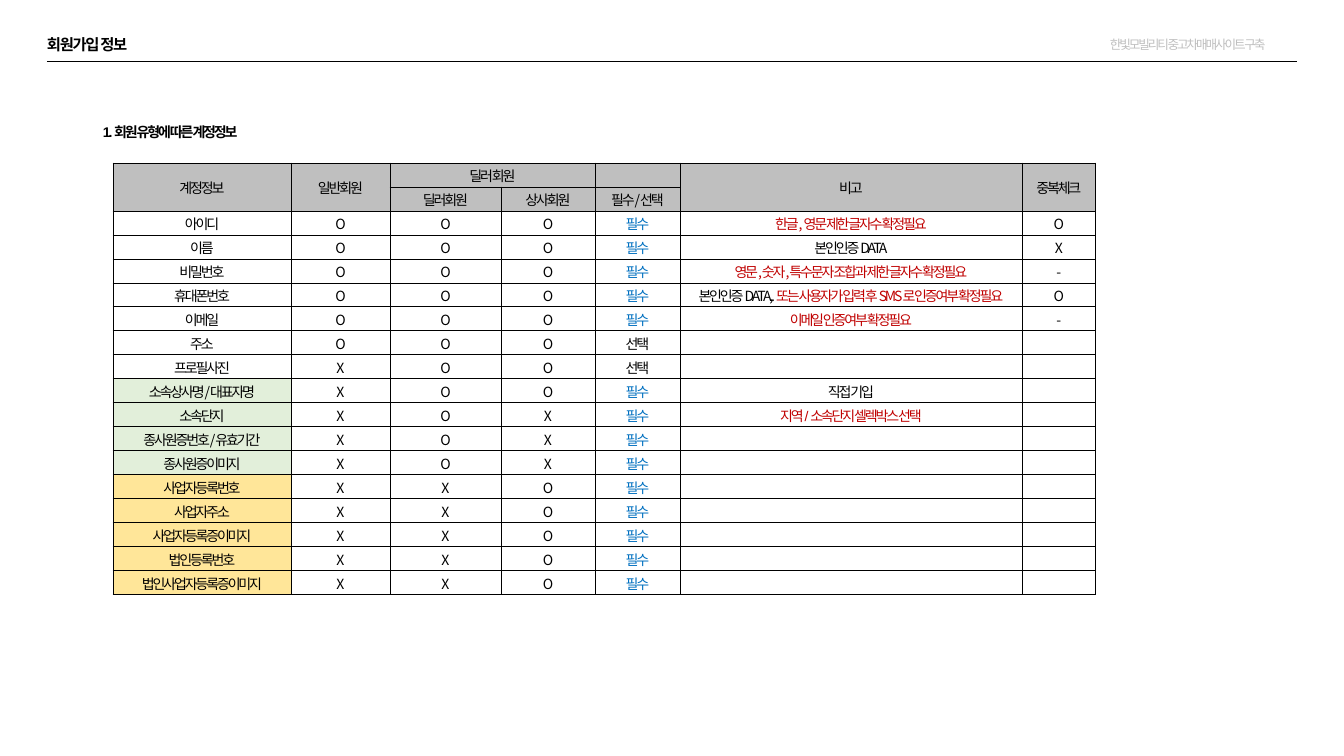
from lxml import etree
from pptx import Presentation
from pptx import util as u
from pptx.dml.color import RGBColor
from pptx.enum import shapes, text
from pptx.oxml.ns import qn

BLACK = RGBColor(0x00, 0x00, 0x00)
WHITE = RGBColor(0xFF, 0xFF, 0xFF)
GRAY = RGBColor(0xBF, 0xBF, 0xBF)
GREEN = RGBColor(0xE2, 0xEF, 0xDA)
YELLOW = RGBColor(0xFF, 0xE6, 0x99)
BLUE = RGBColor(0x00, 0x70, 0xC0)
RED = RGBColor(0xC0, 0x00, 0x00)

ARIAL = "Arial"
NOTO = "Noto Sans CJK KR"
EMU_PER_PX = 914400 / 100.8

COLUMNS = [178, 99, 111, 94, 85, 342, 74]
ROW_HEIGHT = 24

HEADERS = [
    (0, 0, 2, 1, [("계정정보", ARIAL, BLACK)]),
    (0, 1, 2, 1, [("일반회원", ARIAL, BLACK)]),
    (0, 2, 1, 2, [("딜러 회원", NOTO, BLACK)]),
    (0, 4, 1, 1, []),
    (0, 5, 2, 1, [("비고", ARIAL, BLACK)]),
    (0, 6, 2, 1, [("중복체크", ARIAL, BLACK)]),
    (1, 2, 1, 1, [("딜러회원", NOTO, BLACK)]),
    (1, 3, 1, 1, [("상사회원", NOTO, BLACK)]),
    (1, 4, 1, 1, [("필수", ARIAL, BLACK), ("/", NOTO, BLACK), ("선택", ARIAL, BLACK)]),
]

COMMON = [
    ("아이디", "OOO", "필수", [("한글, 영문 제한 글자수 확정필요", NOTO, RED)], "O"),
    ("이름", "OOO", "필수", [("본인인증 ", ARIAL, BLACK), ("DATA", NOTO, BLACK)], "X"),
    ("비밀번호", "OOO", "필수", [
        ("영문", ARIAL, RED), (",", NOTO, RED), ("숫자", ARIAL, RED), (",", NOTO, RED),
        ("특수문자 조합과 제한 글자수 확정필요", ARIAL, RED)], "-"),
    ("휴대폰번호", "OOO", "필수", [
        ("본인인증 ", ARIAL, BLACK), ("DATA,. ", NOTO, BLACK),
        ("또는 사용자가 입력 후 ", ARIAL, RED), ("SMS", NOTO, RED),
        ("로 인증여부 확정필요", ARIAL, RED)], "O"),
    ("이메일", "OOO", "필수", [("이메일 인증여부 확정필요", ARIAL, RED)], "-"),
    ("주소", "OOO", "선택", [], ""),
    ("프로필사진", "XOO", "선택", [], ""),
]
DEALER = [
    ("소속상사명/대표자명", "XOO", "필수", [("직접 기입", NOTO, BLACK)], ""),
    ("소속단지", "XOX", "필수", [
        ("지역 ", NOTO, RED), ("/ ", ARIAL, RED), ("소속단지 셀렉박스 선택", NOTO, RED)], ""),
    ("종사원증번호/유효기간", "XOX", "필수", [], ""),
    ("종사원증이미지", "XOX", "필수", [], ""),
]
COMPANY = [(label, "XXO", "필수", [], "") for label in (
    "사업자등록번호", "사업자주소", "사업자등록증이미지", "법인등록번호", "법인사업자등록증이미지")]
GROUPS = [(COMMON, WHITE, ARIAL), (DEALER, GREEN, NOTO), (COMPANY, YELLOW, NOTO)]


def px(length):
    """Turn px into EMU."""
    return u.Emu(round(length * EMU_PER_PX))


class Sheet:
    """Draws styled elements on one slide."""

    def __init__(self, presentation):
        """Add a blank slide."""
        self.slide = presentation.slides.add_slide(presentation.slide_layouts[6])

    def style(self, run, size, font, color, spacing, bold=False):
        """Format one run."""
        run.font.size = u.Pt(size)
        run.font.bold = bold
        run.font.color.rgb = color
        run.font.name = font
        properties = run.font._element
        properties.set("spc", str(spacing))
        etree.SubElement(properties, qn("a:ea")).set("typeface", NOTO)

    def line(self, left, top, right):
        """Draw a thin horizontal rule."""
        connector = self.slide.shapes.add_connector(
            shapes.MSO_CONNECTOR.STRAIGHT, px(left), px(top), px(right), px(top))
        connector.line.color.rgb = BLACK
        connector.line.width = u.Pt(0.25)
        etree.SubElement(connector._element.spPr, qn("a:effectLst"))

    def label(self, box, words, size, color, spacing, bold=False):
        """Add a one-line text box that grows with its text."""
        shape = self.slide.shapes.add_textbox(*map(px, box))
        frame = shape.text_frame
        frame.text = words
        frame.word_wrap = False
        frame.auto_size = text.MSO_AUTO_SIZE.SHAPE_TO_FIT_TEXT
        self.style(frame.paragraphs[0].runs[0], size, ARIAL, color, spacing, bold)
        return frame

    def title(self, box, words):
        """Add the page title."""
        frame = self.label(box, words, 11, BLACK, -100, True)
        frame.word_wrap = True
        frame.margin_left = frame.margin_top = frame.margin_right = frame.margin_bottom = 0
        frame.paragraphs[0].line_spacing = 0.9

    def cell(self, cell, runs, fill):
        """Fill one table cell with formatted runs."""
        cell.margin_left = cell.margin_top = cell.margin_right = px(1)
        cell.margin_bottom = 0
        cell.vertical_anchor = text.MSO_ANCHOR.MIDDLE
        cell.fill.solid()
        cell.fill.fore_color.rgb = fill
        paragraph = cell.text_frame.paragraphs[0]
        paragraph.alignment = text.PP_ALIGN.CENTER
        for words, font, color in runs:
            run = paragraph.add_run()
            run.text = words
            self.style(run, 10, font, color, -150)
        if not runs:
            etree.SubElement(paragraph._p, qn("a:endParaRPr")).set("sz", "1000")

    def borders(self, cell):
        """Outline one table cell."""
        properties = cell._tc.get_or_add_tcPr()
        for index, side in enumerate(("lnL", "lnR", "lnT", "lnB")):
            border = etree.Element(qn(f"a:{side}"), w=str(u.Pt(0.5)))
            solid = etree.SubElement(border, qn("a:solidFill"))
            etree.SubElement(solid, qn("a:srgbClr")).set("val", str(BLACK))
            properties.insert(index, border)

    def table(self, left, top, row_count):
        """Add an empty bordered table."""
        table = self.slide.shapes.add_table(
            row_count, len(COLUMNS), px(left), px(top),
            px(sum(COLUMNS)), px(row_count * ROW_HEIGHT)).table
        table.first_row = table.horz_banding = False
        for column, width in zip(table.columns, COLUMNS):
            column.width = px(width)
        for row in table.rows:
            row.height = px(ROW_HEIGHT)
        for cell in table.iter_cells():
            self.cell(cell, [], GRAY)
            self.borders(cell)
        return table

    def account_table(self, left, top):
        """Add the table of account fields by member type."""
        rows = [(row, fill, font) for group, fill, font in GROUPS for row in group]
        table = self.table(left, top, len(rows) + 2)
        for row, column, height, width, runs in HEADERS:
            cell = table.cell(row, column)
            if height * width > 1:
                cell.merge(table.cell(row + height - 1, column + width - 1))
            self.cell(cell, runs, GRAY)
        for index, ((label, marks, need, remark, check), fill, font) in enumerate(rows, 2):
            need_color = BLUE if need == "필수" else BLACK
            contents = [[(label, font, BLACK)]]
            contents += [[(mark, NOTO, BLACK)] for mark in marks]
            contents += [[(need, ARIAL, need_color)], remark]
            contents.append([(check, NOTO, BLACK)] if check else [])
            for column, runs in enumerate(contents):
                self.cell(table.cell(index, column), runs, WHITE if column else fill)


def main():
    """Build and save the slide."""
    presentation = Presentation()
    presentation.slide_width = px(1344)
    presentation.slide_height = px(756)
    sheet = Sheet(presentation)
    sheet.line(47, 61, 1297)
    sheet.label((1100, 32, 195, 25), "한빛모빌리티 중고차매매사이트 구축", 9, GRAY, -150)
    sheet.title((47, 37, 408, 17), "회원가입 정보")
    sheet.label((93, 119, 171, 27), "1. 회원 유형에 따른 계정정보", 10, BLACK, -150, True)
    sheet.account_table(113, 163)
    presentation.save("out.pptx")


if __name__ == "__main__":
    main()
